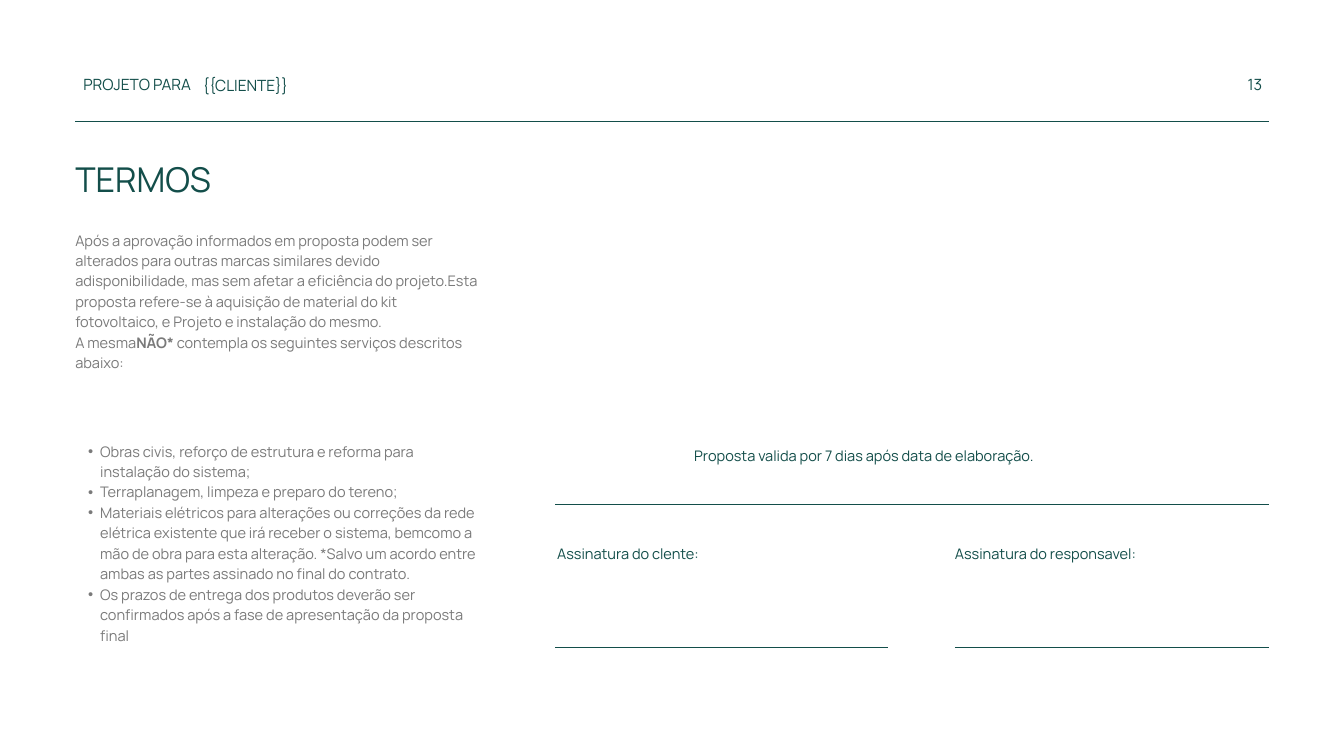
from lxml.etree import SubElement
from pptx import Presentation
from pptx.dml.color import RGBColor
from pptx.enum.shapes import MSO_CONNECTOR
from pptx.enum.text import MSO_AUTO_SIZE, PP_ALIGN
from pptx.oxml.ns import qn
from pptx.util import Emu, Pt

PX = 9144  # EMU per px, 100 px to the inch
FONT = "Manrope"
COLORS = {"green": "134E4A", "gray": "7A7A7A", "white": "FFFFFF"}

# Shared edges of the layout
LEFT, RIGHT = 112, 1888
SIGN_LEFT, SIGN_RIGHT = 826, 1421
BODY_WIDTH = 602

TERMS = [
    [("Após a aprovação informados em proposta podem ser alterados para "
      "outras marcas similares devido adisponibilidade, mas sem afetar a "
      "eficiência do projeto.Esta proposta refere-se à aquisição de material "
      "do kit fotovoltaico, e Projeto e instalação do mesmo.", False)],
    [("A mesma", False), ("NÃO* ", True),
     ("contempla os seguintes serviços descritos abaixo:", False)],
]
EXCLUSIONS = [
    "Obras civis, reforço de estrutura e reforma para instalação do sistema;",
    "Terraplanagem, limpeza e preparo do tereno;",
    "Materiais elétricos para alterações ou correções da rede elétrica "
    "existente que irá receber o sistema, bemcomo a mão de obra para esta "
    "alteração. *Salvo um acordo entre ambas as partes assinado no final do "
    "contrato.",
    "Os prazos de entrega dos produtos deverão ser confirmados após a fase de "
    "apresentação da proposta final",
]


def px(length):
    return Emu(length * PX)


def color(name):
    return RGBColor.from_string(COLORS[name])


def add_rule(page, left, right, top):
    """Draw a thin horizontal line."""
    rule = page.shapes.add_connector(
        MSO_CONNECTOR.STRAIGHT, px(left), px(top), px(right), px(top))
    rule.line.color.rgb = color("green")
    rule.line.width = Pt(0.75)
    SubElement(rule._element.spPr, qn("a:effectLst"))


def add_bullet(para):
    """Give a paragraph a round bullet with a hanging indent."""
    para.level = 1
    properties = para._p.get_or_add_pPr()
    properties.set("marL", str(px(37)))
    properties.set("indent", str(px(-18)))
    SubElement(properties, qn("a:buFont"), typeface="Arial")
    SubElement(properties, qn("a:buChar"), char="•")


def add_text(page, content, left, top, width, height, size=15.6, leading=21.9,
             ink="green", align=PP_ALIGN.LEFT, bullets=False):
    """Place text; content is a string or a list of paragraphs.

    A paragraph is a string or a list of (text, bold) pairs.
    """
    box = page.shapes.add_textbox(px(left), px(top), px(width), px(height))
    frame = box.text_frame
    frame.word_wrap = True
    frame.auto_size = MSO_AUTO_SIZE.SHAPE_TO_FIT_TEXT
    frame.margin_left = frame.margin_right = 0
    frame.margin_top = frame.margin_bottom = 0

    paragraphs = [content] if isinstance(content, str) else content
    for index, spans in enumerate(paragraphs):
        para = frame.add_paragraph() if index else frame.paragraphs[0]
        para.alignment = align
        para.line_spacing = Pt(leading)
        if bullets:
            add_bullet(para)
        if isinstance(spans, str):
            spans = [(spans, False)]
        for text, bold in spans:
            span = para.add_run()
            span.text = text
            span.font.name = FONT
            span.font.size = Pt(size)
            span.font.bold = bold
            span.font.color.rgb = color(ink)
    return box


def add_header(page):
    header = {"size": 16.6, "leading": 23.3}
    add_text(page, "PROJETO PARA", 124, 107, 171, 33,
             align=PP_ALIGN.JUSTIFY, **header)
    add_text(page, "{{CLIENTE}}", 302, 108, 396, 32, **header)
    add_text(page, "13", 1848, 107, 39, 31, align=PP_ALIGN.CENTER, **header)
    add_rule(page, LEFT, RIGHT, 180)


def add_terms(page):
    add_text(page, "TERMOS", LEFT, 225, 492, 72, size=36.6, leading=51.3)
    add_text(page, TERMS, LEFT, 340, BODY_WIDTH, 241, ink="gray")
    add_text(page, EXCLUSIONS, LEFT, 654, BODY_WIDTH, 332, ink="gray",
             bullets=True)


def add_signatures(page):
    add_text(page, "Proposta valida por 7 dias após data de elaboração.",
             1033, 660, 575, 30)
    add_rule(page, SIGN_LEFT, RIGHT, 750)
    add_text(page, "Assinatura do clente:", 829, 806, 244, 30)
    add_text(page, "Assinatura do responsavel:", SIGN_RIGHT, 806, 344, 30)
    add_rule(page, SIGN_LEFT, 1321, 963)
    add_rule(page, SIGN_RIGHT, RIGHT, 963)


def main():
    deck = Presentation()
    deck.slide_width, deck.slide_height = px(2000), px(1125)
    page = deck.slides.add_slide(deck.slide_layouts[6])
    page.background.fill.solid()
    page.background.fill.fore_color.rgb = color("white")

    add_header(page)
    add_terms(page)
    add_signatures(page)
    deck.save("out.pptx")


if __name__ == "__main__":
    main()
